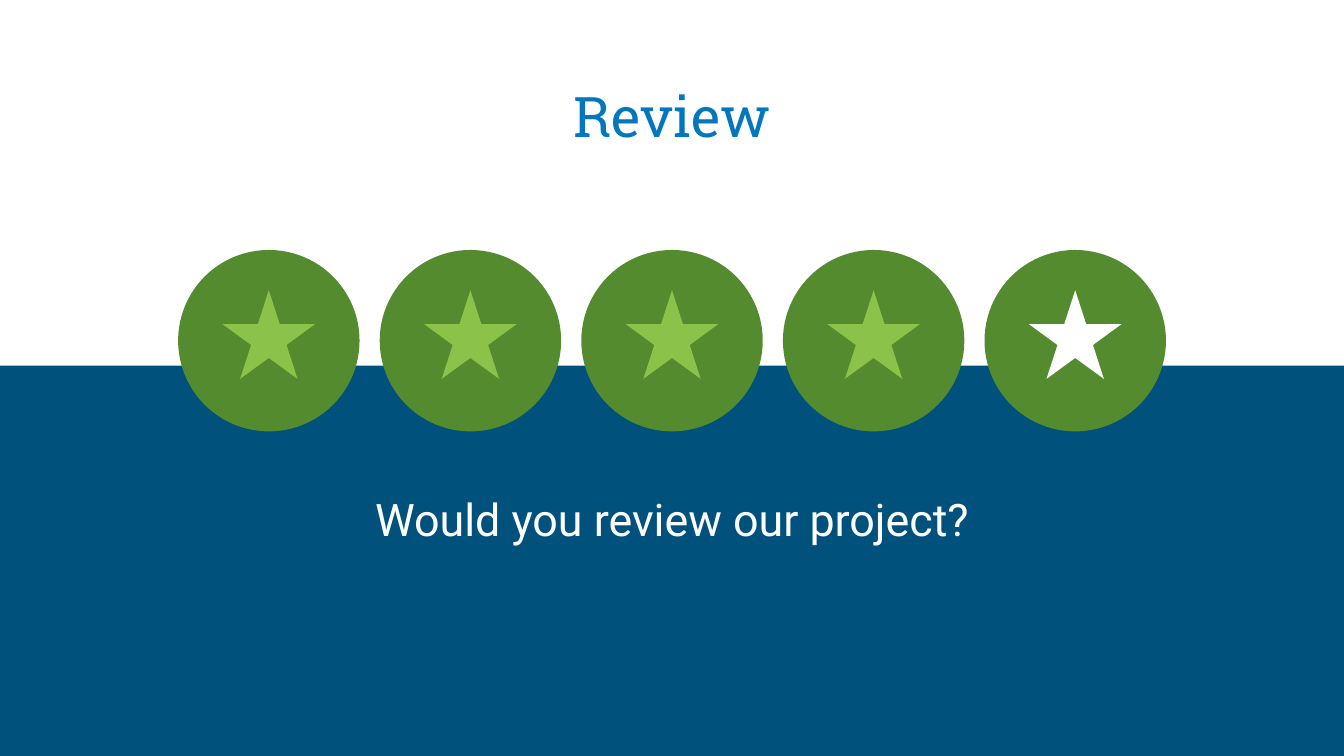
from dataclasses import dataclass

from pptx import Presentation
from pptx.dml.color import RGBColor
from pptx.enum.shapes import MSO_SHAPE
from pptx.enum.text import MSO_ANCHOR, PP_ALIGN
from pptx.shapes.autoshape import Shape
from pptx.slide import Slide
from pptx.text.text import _Paragraph as Paragraph
from pptx.util import Inches, Pt

WHITE = RGBColor(0xFF, 0xFF, 0xFF)
NAVY = RGBColor(0x00, 0x51, 0x7C)
BLUE = RGBColor(0x02, 0x77, 0xBD)
DARK_GREEN = RGBColor(0x55, 0x8B, 0x2F)
LIGHT_GREEN = RGBColor(0x8B, 0xC3, 0x4A)

SLIDE_WIDTH = 10
SLIDE_HEIGHT = SLIDE_WIDTH * 9 / 16
CIRCLE_SIZE, CIRCLE_TOP, CIRCLE_PITCH = 1.35, 1.86, 1.5
STAR_WIDTH, STAR_HEIGHT, STAR_TOP = 0.69, 0.66, 2.16
STAR_COLORS = [LIGHT_GREEN] * 4 + [WHITE]
TEXT_LEFT, TEXT_WIDTH = 0.34, 9.32


@dataclass(frozen=True)
class Caption:
    text: str
    top: float
    height: float
    font: str
    size: int
    color: RGBColor
    anchor: MSO_ANCHOR


TITLE = Caption("Review", 0.41, 0.8, "Roboto Slab", 30, BLUE, MSO_ANCHOR.BOTTOM)
QUESTION = Caption("Would you review our project?", 3.5, 1.76, "Roboto", 24, WHITE, MSO_ANCHOR.TOP)


def paint(shape: Shape, color: RGBColor) -> None:
    """Give the shape a flat fill without outline or shadow."""
    shape.shadow.inherit = False
    shape.fill.solid()
    shape.fill.fore_color.rgb = color
    shape.line.fill.background()


def add_rating_star(page: Slide, center: float, color: RGBColor) -> None:
    """Group a star with the circle behind it, both centred on one axis."""
    group = page.shapes.add_group_shape()
    circle = group.shapes.add_shape(
        MSO_SHAPE.OVAL, Inches(center - CIRCLE_SIZE / 2), Inches(CIRCLE_TOP),
        Inches(CIRCLE_SIZE), Inches(CIRCLE_SIZE))
    paint(circle, DARK_GREEN)
    star = group.shapes.add_shape(
        MSO_SHAPE.STAR_5_POINT, Inches(center - STAR_WIDTH / 2), Inches(STAR_TOP),
        Inches(STAR_WIDTH), Inches(STAR_HEIGHT))
    paint(star, color)


def add_caption(page: Slide, caption: Caption) -> Paragraph:
    box = page.shapes.add_textbox(
        Inches(TEXT_LEFT), Inches(caption.top), Inches(TEXT_WIDTH), Inches(caption.height))
    frame = box.text_frame
    frame.word_wrap = True
    frame.vertical_anchor = caption.anchor
    frame.margin_left = frame.margin_right = Inches(0.1)
    frame.margin_top = frame.margin_bottom = Inches(0.1)
    para = frame.paragraphs[0]
    para.alignment = PP_ALIGN.CENTER
    span = para.add_run()
    span.text = caption.text
    span.font.name = caption.font
    span.font.size = Pt(caption.size)
    span.font.color.rgb = caption.color
    return para


def main() -> None:
    deck = Presentation()
    deck.slide_width, deck.slide_height = Inches(SLIDE_WIDTH), Inches(SLIDE_HEIGHT)
    page = deck.slides.add_slide(deck.slide_layouts[6])
    page.background.fill.solid()
    page.background.fill.fore_color.rgb = NAVY

    upper_band = page.shapes.add_shape(
        MSO_SHAPE.RECTANGLE, 0, 0, Inches(10.02), Inches(2.72))
    paint(upper_band, WHITE)
    add_caption(page, TITLE)

    first_center = SLIDE_WIDTH / 2 - CIRCLE_PITCH * (len(STAR_COLORS) - 1) / 2
    for index, color in enumerate(STAR_COLORS):
        add_rating_star(page, first_center + index * CIRCLE_PITCH, color)

    question = add_caption(page, QUESTION)
    question.line_spacing = 1.15
    question.space_after = Pt(16)
    deck.save("out.pptx")


if __name__ == "__main__":
    main()
